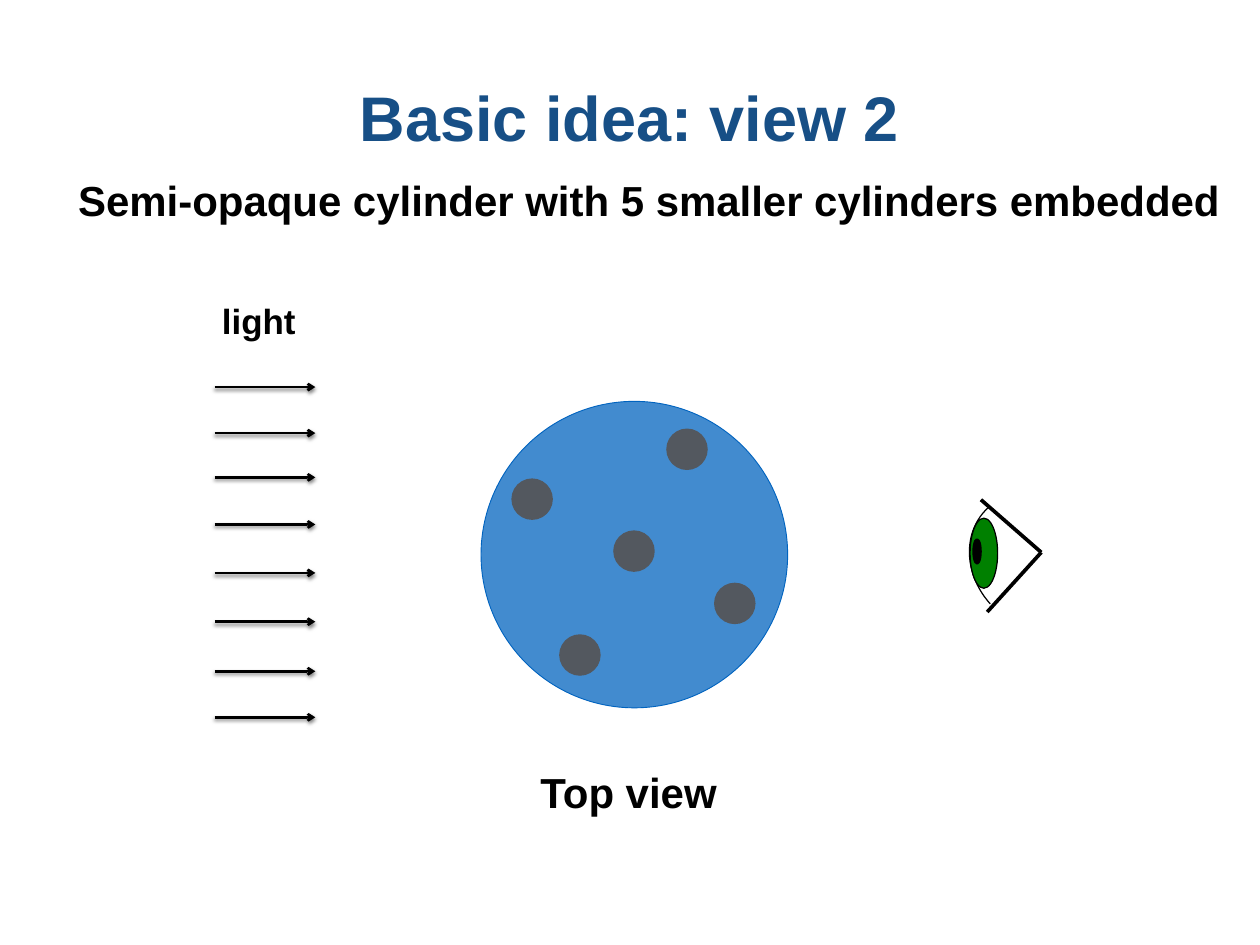
from lxml.etree import SubElement
from pptx import Presentation
from pptx.dml.color import RGBColor as RGB
from pptx.enum.shapes import MSO_CONNECTOR as CONN, MSO_SHAPE as SHAPE
from pptx.enum.text import MSO_ANCHOR as ANCHOR, MSO_AUTO_SIZE as FIT, PP_ALIGN as ALIGN
from pptx.oxml import parse_xml
from pptx.oxml.ns import nsdecls, qn
from pptx.util import Cm, Pt

THEME = {
    "font": "Arial",
    "title": RGB.from_string("174F86"),
    "ink": RGB.from_string("000000"),
    "cylinder": RGB.from_string("0365C0"),
    "cylinder_edge": RGB.from_string("0063BF"),
    "rod": RGB.from_string("53585F"),
    "iris": RGB.from_string("008000"),
    "title_size": Pt(51.2),
    "text_size": Pt(34.1),
    "label_size": Pt(28.4),
}


def add_shape(group, kind, box, fill=None, edge=None, width=0):
    sp = group.shapes.add_shape(kind, *map(Cm, box))
    sp.shadow.inherit = False
    if fill is None:
        sp.fill.background()
    else:
        sp.fill.solid()
        sp.fill.fore_color.rgb = fill
    if edge is None:
        sp.line.fill.background()
    else:
        sp.line.color.rgb = edge
        sp.line.width = Pt(width)
    return sp


def add_line(group, start, end, width):
    line = group.shapes.add_connector(CONN.STRAIGHT, *map(Cm, start + end))
    line.line.color.rgb = THEME["ink"]
    line.line.width = Pt(width)
    effects = parse_xml(f'<a:effectLst {nsdecls("a")}/>')
    line._element.spPr.append(effects)
    return line, effects


prs = Presentation()
prs.slide_width, prs.slide_height = Cm(36.12), Cm(27.1)
s = prs.slides.add_slide(prs.slide_layouts[6])

# Title and labels
plain_frame = {"word_wrap": False, "auto_size": FIT.SHAPE_TO_FIT_TEXT}
title_frame = {
    "word_wrap": True, "vertical_anchor": ANCHOR.MIDDLE,
    "margin_left": Cm(0.15), "margin_right": Cm(0.15),
    "margin_top": Cm(0.15), "margin_bottom": Cm(0.15),
}
texts = [
    ("Basic idea: view 2", (1.8, 1.09, 32.51, 4.52), "title_size", "title", 1.0, title_frame),
    ("Semi-opaque cylinder with 5 smaller cylinders embedded",
     (1.78, 5.05, 33.66, 1.57), "text_size", "ink", 0.9, plain_frame),
    ("light", (6.1, 8.59, 2.64, 1.35), "label_size", "ink", 0.9, plain_frame),
    ("Top view", (15.16, 22.02, 5.72, 1.57), "text_size", "ink", 0.9, plain_frame),
]
for text, box, size, color, spacing, frame in texts:
    tf = s.shapes.add_textbox(*map(Cm, box)).text_frame
    p = tf.paragraphs[0]
    r = p.add_run()
    r.text = text
    formats = [
        (tf, frame),
        (p, {"alignment": ALIGN.CENTER, "line_spacing": spacing}),
        (r.font, {"name": THEME["font"], "size": THEME[size], "bold": True}),
    ]
    for target, values in formats:
        for name, value in values.items():
            setattr(target, name, value)
    r.font.color.rgb = THEME[color]

# Semi-opaque cylinder with its rods, seen from above
cylinder = s.shapes.add_group_shape()
sp = add_shape(cylinder, SHAPE.OVAL, (13.79, 11.51, 8.79, 8.79),
               THEME["cylinder"], THEME["cylinder_edge"], 0.75)
fill_color = sp._element.spPr.find(qn("a:solidFill"))[0]
SubElement(fill_color, qn("a:alpha"), val="75000")
for x, y in [(19.1, 12.29), (17.58, 15.21), (20.47, 16.71), (16.03, 18.19), (14.66, 13.72)]:
    add_shape(cylinder, SHAPE.OVAL, (x, y, 1.19, 1.19), THEME["rod"])

# Light rays, each with an arrowhead and a soft shadow
light = s.shapes.add_group_shape()
for y in (11.1, 12.42, 13.69, 15.04, 16.43, 17.83, 19.25, 20.57):
    ray, effects = add_line(light, (6.15, y), (9.04, y), 2)
    SubElement(ray.line._get_or_add_ln(), qn("a:tailEnd"), type="arrow")
    effects.append(parse_xml(
        f'<a:outerShdw {nsdecls("a")} blurRad="{Pt(3)}" dist="{Pt(2)}" dir="5400000" '
        'rotWithShape="0"><a:srgbClr val="000000"><a:alpha val="50000"/></a:srgbClr>'
        '</a:outerShdw>'))

# Observer's eye
eye = s.shapes.add_group_shape()
corner = (29.85, 15.84)
for lid_end in [(28.12, 14.33), (28.3, 17.55)]:
    add_line(eye, lid_end, corner, 3)
cornea = add_shape(eye, SHAPE.ARC, (27.64, 14.3, 4.17, 3.61), None, THEME["ink"], 1)
cornea.rotation = 227.8
add_shape(eye, SHAPE.OVAL, (27.81, 14.86, 0.79, 2.01), THEME["iris"], THEME["ink"], 1)
add_shape(eye, SHAPE.OVAL, (27.91, 15.47, 0.2, 0.69), THEME["ink"], THEME["ink"], 2)

prs.save("out.pptx")
